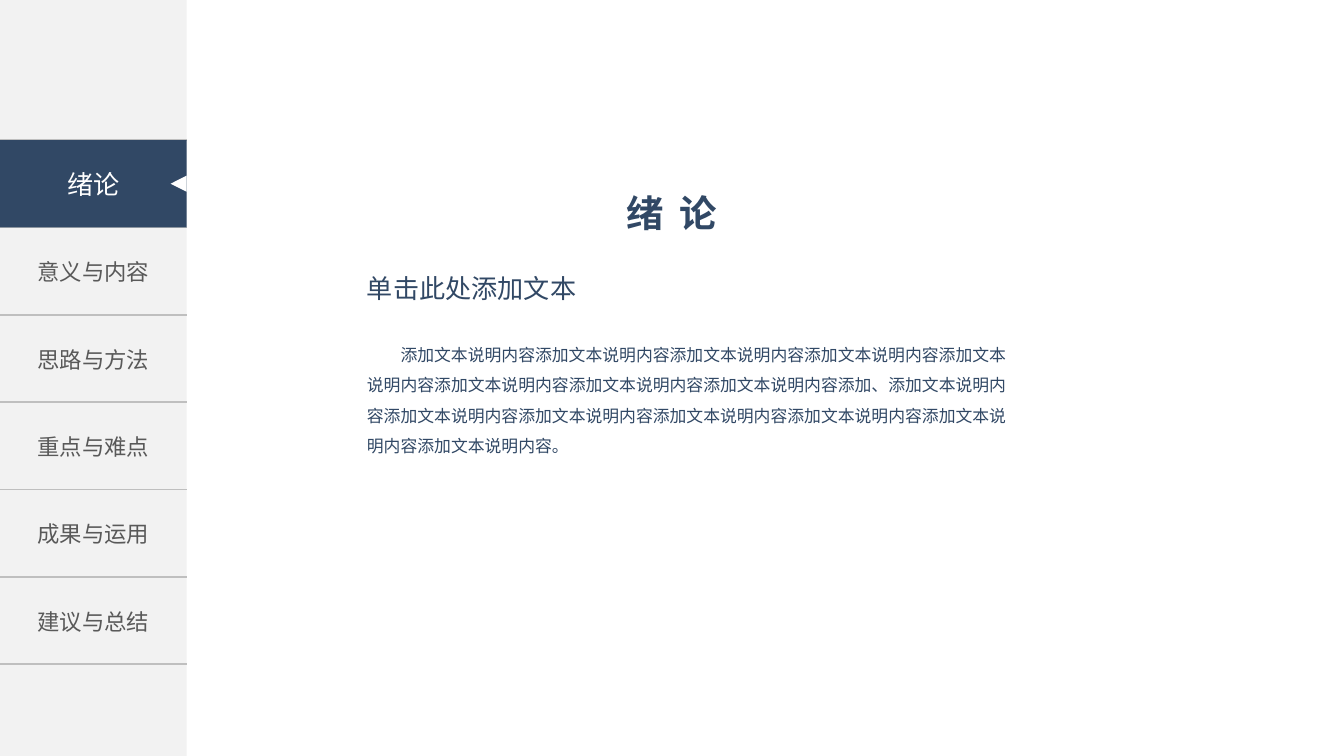
import pptx
import pptx.dml.color
import pptx.enum.shapes
import pptx.enum.text
import pptx.oxml
import pptx.oxml.ns
import pptx.util

Pt = pptx.util.Pt
ALIGN = pptx.enum.text.PP_ALIGN
ANCHOR = pptx.enum.text.MSO_ANCHOR
SHAPE = pptx.enum.shapes.MSO_SHAPE

COLORS = {
    "navy": "314865",
    "panel": "F2F2F2",
    "rule": "BFBFBF",
    "gray": "595959",
    "white": "FFFFFF",
}
FONT = "Arial"
SIDEBAR_WIDTH = 100
MENU_TOP = 75
ROW_HEIGHT = 46.8
CURRENT = "绪论"
CHAPTERS = ["意义与内容", "思路与方法", "重点与难点", "成果与运用", "建议与总结"]
PHRASE = "添加文本说明内容"
BODY = PHRASE * 8 + "添加、" + PHRASE * 7 + "。"


def rgb(name):
    return pptx.dml.color.RGBColor.from_string(COLORS[name])


def write(frame, text, size, color, align=ALIGN.LEFT, anchor=ANCHOR.MIDDLE, bold=False):
    """Fill a text frame with one formatted paragraph and return it."""
    frame.word_wrap = True
    frame.vertical_anchor = anchor
    frame.text = text
    paragraph = frame.paragraphs[0]
    paragraph.alignment = align
    for span in paragraph.runs:
        span.font.name = FONT
        span.font.size = Pt(size)
        span.font.bold = bold
        span.font.color.rgb = rgb(color)
    return paragraph


def add_title(page):
    title = page.shapes.title
    title.left, title.top, title.width, title.height = Pt(305), Pt(83.5), Pt(110), Pt(46)
    paragraph = write(title.text_frame, "绪 论", 20, "navy",
                      ALIGN.CENTER, ANCHOR.BOTTOM, bold=True)
    # Letter spacing, in hundredths of a point
    paragraph.runs[0].font._element.set("spc", "190")


def add_text(page, left, top, width, height, text, size, anchor):
    box = page.shapes.add_textbox(Pt(left), Pt(top), Pt(width), Pt(height))
    return box, write(box.text_frame, text, size, "navy", anchor=anchor)


def add_body(page):
    box, paragraph = add_text(page, 189.5, 175.7, 362, 121, BODY, 9, ANCHOR.TOP)
    box.text_frame.margin_right = Pt(11.5)
    paragraph.line_spacing = 1.5
    paragraph._p.get_or_add_pPr().set("indent", str(Pt(18)))


def add_block(page, kind, left, top, width, height, color):
    block = page.shapes.add_shape(kind, Pt(left), Pt(top), Pt(width), Pt(height))
    block.shadow.inherit = False
    block.fill.solid()
    block.fill.fore_color.rgb = rgb(color)
    block.line.fill.background()
    return block


def set_borders(cell):
    """Rule the cell above and below, and leave its sides open."""
    properties = cell._tc.get_or_add_tcPr()
    solid = f'<a:solidFill><a:srgbClr val="{COLORS["rule"]}"/></a:solidFill>'
    for side in "LRTB":
        paint = solid if side in "TB" else "<a:noFill/>"
        properties.append(pptx.oxml.parse_xml(
            f'<a:ln{side} {pptx.oxml.ns.nsdecls("a")} w="{Pt(1)}">{paint}</a:ln{side}>'))


def add_menu(page):
    labels = [""] + CHAPTERS  # the first row lies under the current chapter
    table = page.shapes.add_table(len(labels), 1, 0, Pt(MENU_TOP), Pt(SIDEBAR_WIDTH),
                                  Pt(ROW_HEIGHT * len(labels))).table
    table.first_row = False
    table.horz_banding = False
    for row, label in zip(table.rows, labels):
        row.height = Pt(ROW_HEIGHT)
        cell = row.cells[0]
        cell.margin_left = cell.margin_right = Pt(5)
        cell.margin_top = cell.margin_bottom = Pt(3)
        set_borders(cell)
        cell.fill.background()
        cell.vertical_anchor = ANCHOR.MIDDLE
        if label:
            write(cell.text_frame, label, 12, "gray", ALIGN.CENTER)
            cell.vertical_anchor = ANCHOR.MIDDLE


def add_current_chapter(page):
    banner = add_block(page, SHAPE.RECTANGLE, 0, MENU_TOP, SIDEBAR_WIDTH, ROW_HEIGHT, "navy")
    write(banner.text_frame, CURRENT, 14, "white", ALIGN.CENTER)
    side = 8.6
    pointer = add_block(page, SHAPE.ISOSCELES_TRIANGLE, SIDEBAR_WIDTH - side,
                        MENU_TOP + (ROW_HEIGHT - side) / 2, side, side, "white")
    pointer.rotation = 270


def main():
    deck = pptx.Presentation()
    deck.slide_width, deck.slide_height = Pt(720), Pt(405)
    page = deck.slides.add_slide(deck.slide_layouts.get_by_name("Title Only"))
    add_text(page, 189.5, 139.7, 402.5, 29, "单击此处添加文本", 14, ANCHOR.MIDDLE)
    add_title(page)
    add_body(page)
    add_block(page, SHAPE.RECTANGLE, 0, 0, SIDEBAR_WIDTH, 405, "panel")
    add_menu(page)
    add_current_chapter(page)
    deck.save("out.pptx")


if __name__ == "__main__":
    main()
